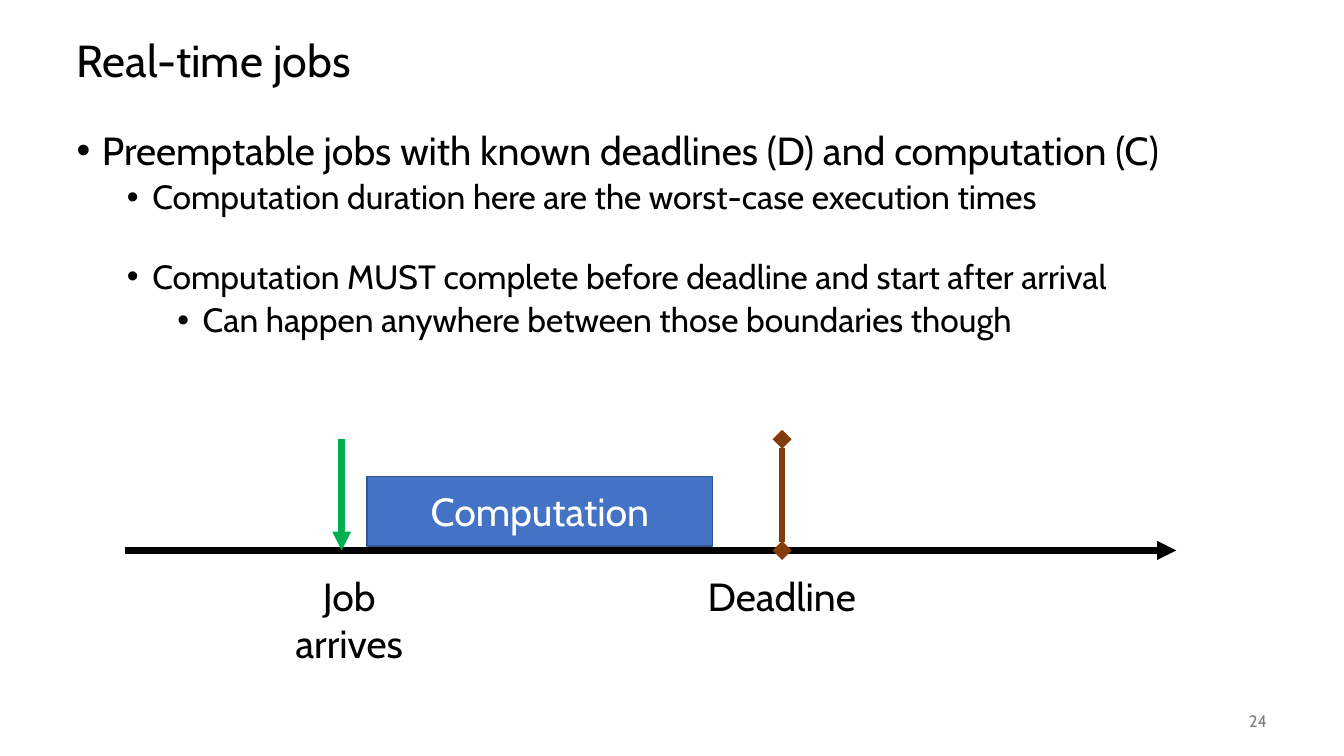
from dataclasses import dataclass

from lxml.etree import SubElement
from pptx import Presentation
from pptx.dml.color import RGBColor
from pptx.enum.shapes import MSO_CONNECTOR as Connector, MSO_SHAPE as Shape
from pptx.enum.text import MSO_ANCHOR as Anchor, PP_ALIGN as Align
from pptx.oxml.ns import qn
from pptx.util import Cm, Pt


@dataclass(frozen=True)
class Theme:
    font: str = "Cabin"
    text: str = "000000"
    muted: str = "808080"
    inverse: str = "FFFFFF"
    arrival: str = "00B050"
    deadline: str = "843C0B"
    block: str = "4472C4"
    block_edge: str = "325491"
    title_size: int = 32
    label_size: int = 28
    detail_size: int = 24
    number_size: int = 12
    line_width: float = 4.5
    line_spacing: float = 0.9


THEME = Theme()

# Content: (level, space before in points, text)
TITLE = "Real-time jobs"
BULLETS = [
    (0, 0, "Preemptable jobs with known deadlines (D) and computation (C)"),
    (1, 5, "Computation duration here are the worst-case execution times"),
    (1, 31, "Computation MUST complete before deadline and start after arrival"),
    (2, 5, "Can happen anywhere between those boundaries though"),
]
PAGE_NUMBER = "24"
BLOCK_TEXT = "Computation"

# Layout in centimetres
LEFT, CONTENT_WIDTH = 1.68, 30.48
AXIS_START, AXIS_END, AXIS_Y = 3.15, 29.64, 13.87
MARKER_TOP, LABEL_TOP = 11.07, 14.3
ARRIVAL_X, DEADLINE_X = 8.61, 19.71
BULLET_INDENT, LEVEL_STEP = 0.64, 1.27

# Timeline lines: (start, end, colour, head, tail)
LINES = [
    ((AXIS_START, AXIS_Y), (AXIS_END, AXIS_Y), THEME.text, None, "triangle"),
    ((ARRIVAL_X, MARKER_TOP), (ARRIVAL_X, AXIS_Y), THEME.arrival, None, "triangle"),
    ((DEADLINE_X, MARKER_TOP), (DEADLINE_X, AXIS_Y), THEME.deadline, "diamond", "diamond"),
]
# Timeline labels: (text, centre, width, height)
LABELS = [("Job arrives", 8.8, 3.58, 2.64), ("Deadline", 19.7, 4.9, 1.45)]


def rgb(colour):
    return RGBColor.from_string(colour)


def add_run(paragraph, text, size, colour):
    run = paragraph.add_run()
    run.text = text
    run.font.name = THEME.font
    run.font.size = Pt(size)
    run.font.color.rgb = rgb(colour)


def add_text(slide, box, text, size, colour=THEME.text, align=Align.LEFT, anchor=Anchor.TOP):
    frame = slide.shapes.add_textbox(*map(Cm, box)).text_frame
    frame.word_wrap = True
    frame.vertical_anchor = anchor
    paragraph = frame.paragraphs[0]
    paragraph.alignment = align
    add_run(paragraph, text, size, colour)
    return paragraph


def add_bullets(slide, box, bullets):
    frame = slide.shapes.add_textbox(*map(Cm, box)).text_frame
    frame.word_wrap = True
    for index, (level, space_before, text) in enumerate(bullets):
        paragraph = frame.add_paragraph() if index else frame.paragraphs[0]
        paragraph.level = level
        paragraph.line_spacing = THEME.line_spacing
        paragraph.space_before = Pt(space_before)
        properties = paragraph._p.get_or_add_pPr()
        properties.set("marL", str(Cm(BULLET_INDENT + level * LEVEL_STEP)))
        properties.set("indent", str(-Cm(BULLET_INDENT)))
        SubElement(properties, qn("a:buFont"), typeface="Arial")
        SubElement(properties, qn("a:buChar"), char="•")
        add_run(paragraph, text, THEME.detail_size if level else THEME.label_size, THEME.text)


def add_line(slide, start, end, colour, head, tail):
    connector = slide.shapes.add_connector(Connector.STRAIGHT, *map(Cm, start + end))
    connector.line.color.rgb = rgb(colour)
    connector.line.width = Pt(THEME.line_width)
    outline = connector.line._get_or_add_ln()
    for tag, kind in (("a:headEnd", head), ("a:tailEnd", tail)):
        if kind:
            SubElement(outline, qn(tag), type=kind)
    SubElement(connector._element.spPr, qn("a:effectLst"))


def add_block(slide, box, text):
    shape = slide.shapes.add_shape(Shape.RECTANGLE, *map(Cm, box))
    shape.shadow.inherit = False
    shape.fill.solid()
    shape.fill.fore_color.rgb = rgb(THEME.block)
    shape.line.color.rgb = rgb(THEME.block_edge)
    shape.line.width = Pt(1)
    shape.text_frame.vertical_anchor = Anchor.MIDDLE
    paragraph = shape.text_frame.paragraphs[0]
    paragraph.alignment = Align.CENTER
    add_run(paragraph, text, THEME.label_size, THEME.inverse)


def main():
    presentation = Presentation()
    presentation.slide_width, presentation.slide_height = Cm(33.87), Cm(19.05)
    slide = presentation.slides.add_slide(presentation.slide_layouts[6])

    # Title, bullets and page number
    title = add_text(slide, (LEFT, 0.64, CONTENT_WIDTH, 1.9), TITLE,
                     THEME.title_size, anchor=Anchor.MIDDLE)
    title.line_spacing = THEME.line_spacing
    add_bullets(slide, (LEFT, 3.18, CONTENT_WIDTH, 13.97), BULLETS)
    add_text(slide, (29.64, 17.65, 2.54, 1.02), PAGE_NUMBER, THEME.number_size,
             THEME.muted, Align.RIGHT, Anchor.MIDDLE)

    # Timeline
    for line in LINES:
        add_line(slide, *line)
    for text, centre, width, height in LABELS:
        add_text(slide, (centre - width / 2, LABEL_TOP, width, height), text,
                 THEME.label_size, align=Align.CENTER)
    add_block(slide, (9.25, 12.01, 8.71, 1.75), BLOCK_TEXT)

    presentation.save("out.pptx")


if __name__ == "__main__":
    main()
